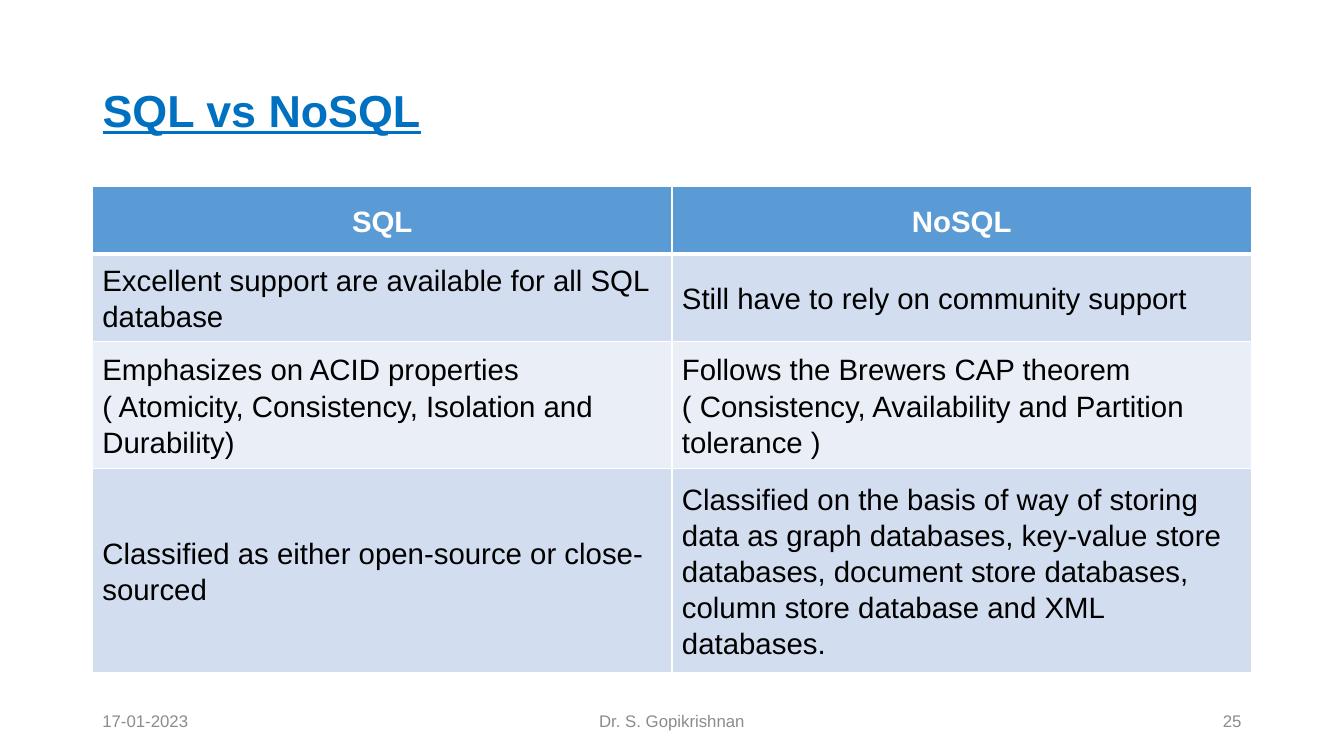
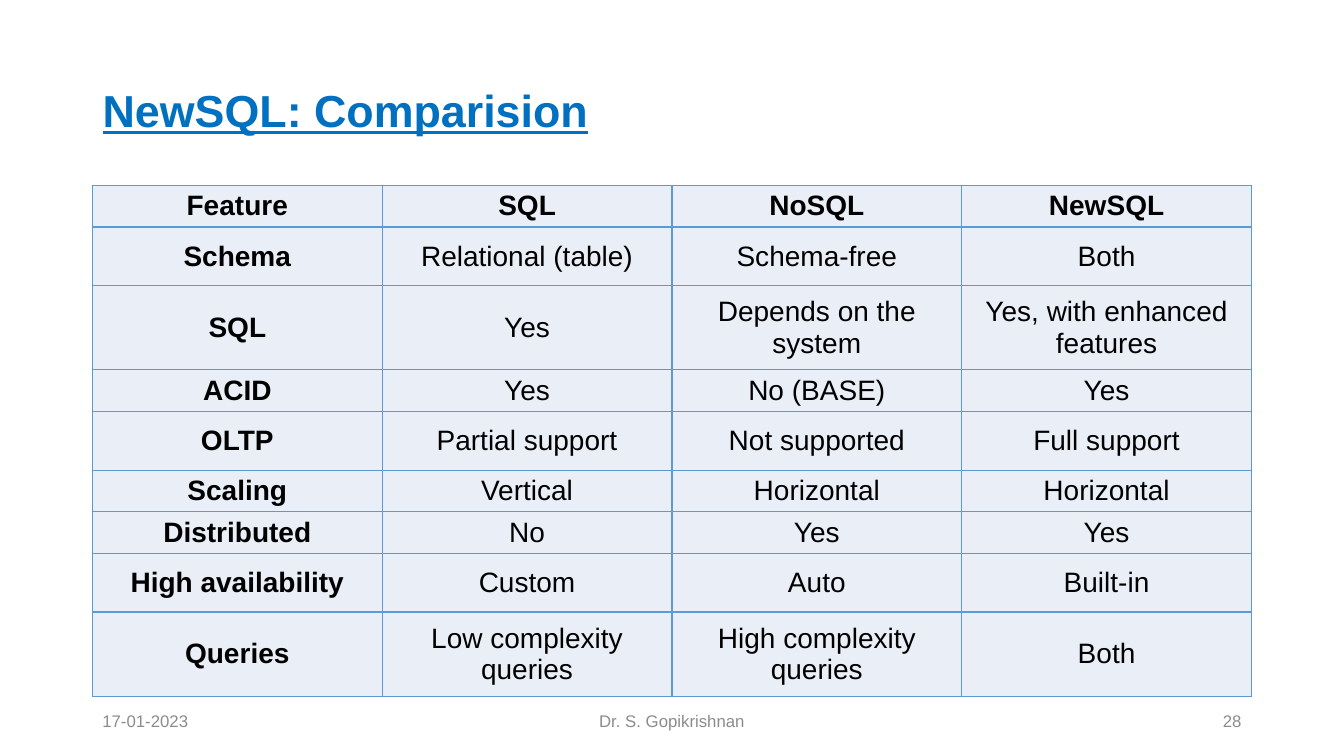
"""Builds two slides that compare SQL, NoSQL and NewSQL in tables."""
import lxml.etree
import pptx
import pptx.dml.color
import pptx.enum.text
import pptx.oxml.ns
import pptx.util

Cm = pptx.util.Cm
Pt = pptx.util.Pt
ALIGN = pptx.enum.text.PP_ALIGN
MIDDLE = pptx.enum.text.MSO_ANCHOR.MIDDLE
FONT = "Arial"
BLUE, GREY, BLACK, WHITE = "0070C0", "8C8C8C", "000000", "FFFFFF"
HEAD, DARK, LIGHT = "5B9BD5", "D2DEEF", "EAEFF7"
LEFT, WIDTH = 2.33, 29.21


def color(code):
    return pptx.dml.color.RGBColor.from_string(code)


def style(par, size, code, align, bold=False, space=None):
    par.alignment = align
    par.line_spacing = space
    for run in par.runs:
        run.font.name = FONT
        run.font.size = Pt(size)
        run.font.bold = bold
        run.font.color.rgb = color(code)


pages = [
    {
        "title": "SQL vs NoSQL", "number": "25", "top": 4.7,
        "heights": [1.7, 2.08, 3, 4.8],
        "size": 21, "space": 1.1, "pad": (0.25, 0.13), "align": ALIGN.LEFT,
        "ink": WHITE, "fills": [HEAD, DARK, LIGHT, DARK],
        "edge": WHITE, "rule": 3, "stub": False,
        "rows": [
            ["SQL", "NoSQL"],
            ["Excellent support are available for all SQL database",
             "Still have to rely on community support"],
            ["Emphasizes on ACID properties ( Atomicity, Consistency, Isolation and Durability)",
             "Follows the Brewers CAP theorem ( Consistency, Availability and Partition tolerance )"],
            ["Classified as either open-source or close-sourced",
             "Classified on the basis of way of storing data as graph databases, "
             "key-value store databases, document store databases, "
             "column store database and XML databases."],
        ],
    },
    {
        "title": "NewSQL: Comparision", "number": "28", "top": 4.67,
        "heights": [1, 1.48, 2.12, 1, 1.48, 1, 1, 1.48, 2.12],
        "size": 20, "space": None, "pad": (0.2, 0.1), "align": ALIGN.CENTER,
        "ink": BLACK, "fills": [LIGHT] * 9,
        "edge": HEAD, "rule": 1, "stub": True,
        "rows": [
            ["Feature", "SQL", "NoSQL", "NewSQL"],
            ["Schema", "Relational (table)", "Schema-free", "Both"],
            ["SQL", "Yes", "Depends on the system", "Yes, with enhanced features"],
            ["ACID", "Yes", "No (BASE)", "Yes"],
            ["OLTP", "Partial support", "Not supported", "Full support"],
            ["Scaling", "Vertical", "Horizontal", "Horizontal"],
            ["Distributed", "No", "Yes", "Yes"],
            ["High availability", "Custom", "Auto", "Built-in"],
            ["Queries", "Low complexity queries", "High complexity queries", "Both"],
        ],
    },
]

deck = pptx.Presentation()
deck.slide_width, deck.slide_height = Cm(33.87), Cm(19.05)

for page in pages:
    slide = deck.slides.add_slide(deck.slide_layouts[5])
    title = slide.shapes.title
    title.left, title.top, title.width, title.height = Cm(LEFT), Cm(1.01), Cm(WIDTH), Cm(3.68)
    title.text_frame.text = page["title"]
    title.text_frame.vertical_anchor = MIDDLE
    line = title.text_frame.paragraphs[0]
    style(line, 32, BLUE, ALIGN.LEFT, True, 0.9)
    line.runs[0].font.underline = True

    for text, left, width, align in [
        ("17-01-2023", LEFT, 7.62, ALIGN.LEFT),
        ("Dr. S. Gopikrishnan", 11.22, 11.43, ALIGN.CENTER),
        (page["number"], 23.92, 7.62, ALIGN.RIGHT),
    ]:
        foot = slide.shapes.add_textbox(Cm(left), Cm(17.66), Cm(width), Cm(1.01)).text_frame
        foot.word_wrap = True
        foot.vertical_anchor = MIDDLE
        foot.text = text
        style(foot.paragraphs[0], 12, GREY, align)

    rows, heights = page["rows"], page["heights"]
    count = len(rows[0])
    table = slide.shapes.add_table(
        len(rows), count, Cm(LEFT), Cm(page["top"]), Cm(WIDTH), Cm(sum(heights))
    ).table
    table.horz_banding = False
    for col in table.columns:
        col.width = Cm(WIDTH / count)
    for r, texts in enumerate(rows):
        table.rows[r].height = Cm(heights[r])
        for c, text in enumerate(texts):
            cell = table.cell(r, c)
            cell.text_frame.text = text
            cell.vertical_anchor = MIDDLE
            cell.margin_left = cell.margin_right = Cm(page["pad"][0])
            cell.margin_top = cell.margin_bottom = Cm(page["pad"][1])
            top = r == 0
            style(cell.text_frame.paragraphs[0], page["size"],
                  page["ink"] if top else BLACK,
                  ALIGN.CENTER if top else page["align"],
                  top or (page["stub"] and c == 0), page["space"])
            props = cell._tc.get_or_add_tcPr()
            for side in "LRTB":
                thick = (r, side) in [(0, "B"), (1, "T")]
                edge = lxml.etree.SubElement(
                    props, pptx.oxml.ns.qn("a:ln" + side),
                    w=str(Pt(page["rule"] if thick else 1)))
                fill = lxml.etree.SubElement(edge, pptx.oxml.ns.qn("a:solidFill"))
                lxml.etree.SubElement(fill, pptx.oxml.ns.qn("a:srgbClr"), val=page["edge"])
            cell.fill.solid()
            cell.fill.fore_color.rgb = color(page["fills"][r])

deck.save("out.pptx")
